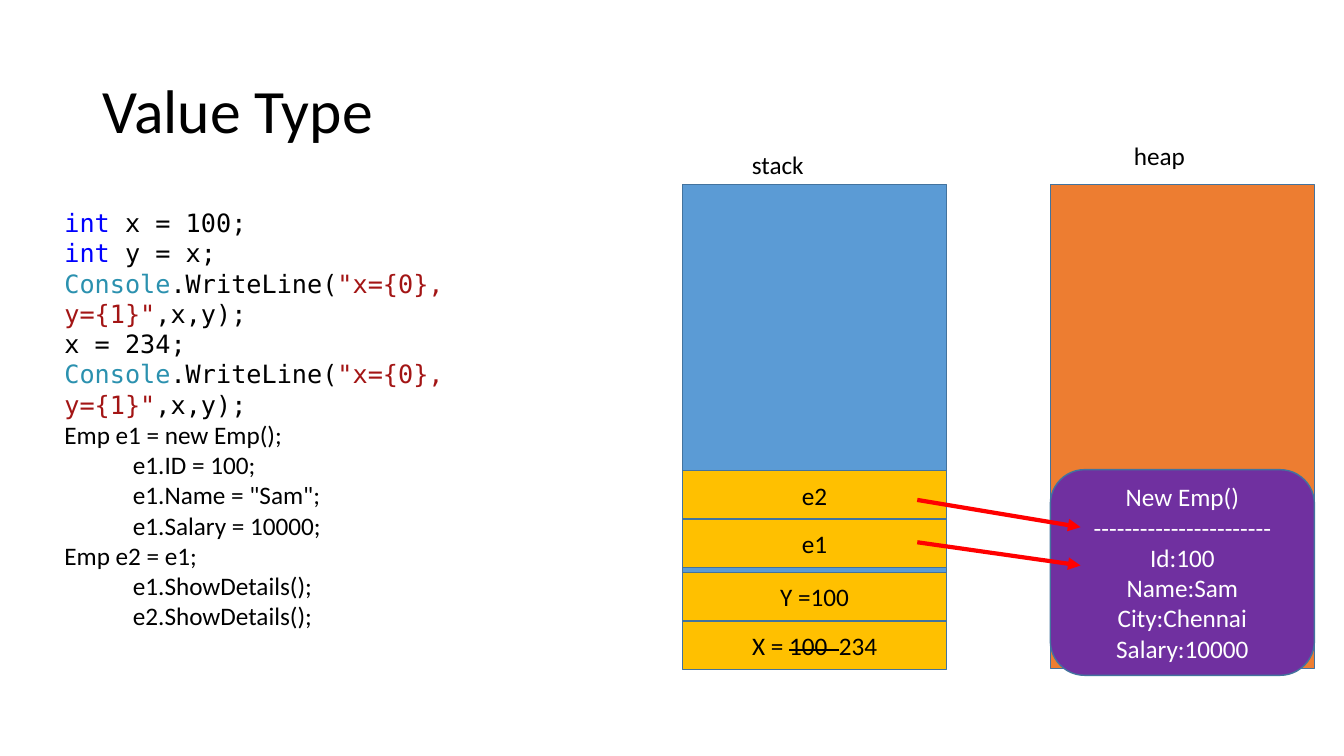
from dataclasses import dataclass

from lxml import etree
from pptx import Presentation
from pptx import util as u
from pptx.dml.color import RGBColor
from pptx.enum import shapes, text
from pptx.oxml.ns import qn

BLACK = RGBColor(0x00, 0x00, 0x00)
WHITE = RGBColor(0xFF, 0xFF, 0xFF)
EDGE = RGBColor(0x43, 0x73, 0x9E)
STACK_BLUE = RGBColor(0x5B, 0x9B, 0xD5)
HEAP_ORANGE = RGBColor(0xED, 0x7D, 0x31)
SLOT_GOLD = RGBColor(0xFF, 0xC0, 0x00)
OBJECT_PURPLE = RGBColor(0x70, 0x30, 0xA0)
ARROW_RED = RGBColor(0xFF, 0x00, 0x00)
KEYWORD = RGBColor(0x00, 0x00, 0xFF)
CLASS_NAME = RGBColor(0x2B, 0x91, 0xAF)
STRING = RGBColor(0xA3, 0x15, 0x15)

BODY, MONO = "Calibri", "DejaVu Sans Mono"
RECT = shapes.MSO_SHAPE.RECTANGLE
ROUNDED = shapes.MSO_SHAPE.ROUNDED_RECTANGLE

W, H = u.Inches(13.333), u.Inches(7.5)

# Positions and sizes are percentages of the slide's width and height.
STACK_X, HEAP_X, COLUMN_W = 50.78, 78.15, 19.65
MEMORY_Y, MEMORY_H = 24.4, 64
SLOT_BOTTOM, SLOT_H, FRAME_GAP = 88.53, 6.4, 0.66
ARROW_FROM, ARROW_TO = 68.25, 80.4
CODE_INDENT = 5.1


@dataclass(frozen=True)
class Box:
    left: float
    top: float
    width: float
    height: float

    def emu(self) -> tuple:
        return x(self.left), y(self.top), x(self.width), y(self.height)


@dataclass(frozen=True)
class Run:
    text: str
    color: RGBColor = BLACK
    strike: bool = False


@dataclass(frozen=True)
class Line:
    runs: tuple
    font: str = BODY
    size: float = 18
    indent: float = 0
    spacing: float = 1.0


def x(percent: float) -> int:
    return round(W * percent / 100)


def y(percent: float) -> int:
    return round(H * percent / 100)


def plain(words: str, color: RGBColor = BLACK, **style) -> Line:
    """Make a line that holds a single run."""
    return Line((Run(words, color),), **style)


def write(tf, lines, align=text.PP_ALIGN.LEFT) -> None:
    for i, line in enumerate(lines):
        p = tf.add_paragraph() if i else tf.paragraphs[0]
        p.alignment = align
        p.line_spacing = line.spacing
        p.font.name, p.font.size = line.font, u.Pt(line.size)
        if line.indent:
            p._p.get_or_add_pPr().set("marL", str(x(line.indent)))
        for run in line.runs:
            r = p.add_run()
            r.text = run.text
            r.font.color.rgb = run.color
            if run.strike:
                r._r.get_or_add_rPr().set("strike", "sngStrike")


def add_text(slide, box: Box, lines, wrap=True, anchor=text.MSO_ANCHOR.TOP) -> None:
    tf = slide.shapes.add_textbox(*box.emu()).text_frame
    tf.word_wrap = wrap
    tf.vertical_anchor = anchor
    write(tf, lines)


def add_block(slide, box: Box, fill: RGBColor, lines=(), kind=RECT) -> None:
    sp = slide.shapes.add_shape(kind, *box.emu())
    sp.shadow.inherit = False
    sp.fill.solid()
    sp.fill.fore_color.rgb = fill
    sp.line.color.rgb = EDGE
    sp.line.width = u.Pt(1)
    sp.text_frame.vertical_anchor = text.MSO_ANCHOR.MIDDLE
    write(sp.text_frame, lines, text.PP_ALIGN.CENTER)


def add_reference(slide, start: float, end: float) -> None:
    """Draw an arrow from a stack slot to the heap object."""
    cx = slide.shapes.add_connector(
        shapes.MSO_CONNECTOR.STRAIGHT, x(ARROW_FROM), y(start), x(ARROW_TO), y(end))
    cx.line.color.rgb = ARROW_RED
    cx.line.width = u.Pt(3)
    etree.SubElement(cx.line._get_or_add_ln(), qn("a:tailEnd"), type="triangle")
    etree.SubElement(cx._element.spPr, qn("a:effectLst"))


PRINT_XY = Line((Run("Console", CLASS_NAME), Run(".WriteLine("),
                 Run('"x={0}, y={1}"', STRING), Run(",x,y);")), MONO)
CODE = (
    Line((Run("int", KEYWORD), Run(" x = 100;")), MONO),
    Line((Run("int ", KEYWORD), Run("y = x;")), MONO),
    PRINT_XY,
    plain("x = 234;", font=MONO),
    PRINT_XY,
    plain("Emp e1 = new Emp();"),
    plain("e1.ID = 100;", indent=CODE_INDENT),
    plain('e1.Name = "Sam";', indent=CODE_INDENT),
    plain("e1.Salary = 10000;", indent=CODE_INDENT),
    plain("Emp e2 = e1;"),
    plain("e1.ShowDetails();", indent=CODE_INDENT),
    plain("e2.ShowDetails();", indent=CODE_INDENT),
)
SLOTS = (
    Line((Run("X = "), Run("100  ", strike=True), Run("234"))),
    plain("Y =100"),
    plain("e1"),
    plain("e2"),
)
EMPLOYEE = ("New Emp()", "-" * 23, "Id:100", "Name:Sam", "City:Chennai", "Salary:10000")


def main() -> None:
    prs = Presentation()
    prs.slide_width, prs.slide_height = W, H
    slide = prs.slides.add_slide(prs.slide_layouts[6])

    add_text(slide, Box(6.9, 5.33, 86.25, 19.33),
             [plain("Value Type", size=44, spacing=0.9)], anchor=text.MSO_ANCHOR.MIDDLE)
    add_text(slide, Box(4.05, 26.8, 42.6, 53.87), CODE)

    for left, fill in ((STACK_X, STACK_BLUE), (HEAP_X, HEAP_ORANGE)):
        add_block(slide, Box(left, MEMORY_Y, COLUMN_W, MEMORY_H), fill)
    for label, left, top in (("stack", 55.2, 19.07), ("heap", 83.63, 17.87)):
        add_text(slide, Box(left, top, 5.4, 5.33), [plain(label)], wrap=False)

    for i, slot in enumerate(SLOTS):
        top = SLOT_BOTTOM - SLOT_H * (i + 1) - FRAME_GAP * (i // 2)
        add_block(slide, Box(STACK_X, top, COLUMN_W, SLOT_H), SLOT_GOLD, [slot])
    add_block(slide, Box(HEAP_X, 62.13, COLUMN_W, 27.2), OBJECT_PURPLE,
              [plain(field, WHITE) for field in EMPLOYEE], ROUNDED)

    for start, end in ((71.73, 74.8), (66.13, 69.73)):
        add_reference(slide, start, end)

    prs.save("out.pptx")


if __name__ == "__main__":
    main()
